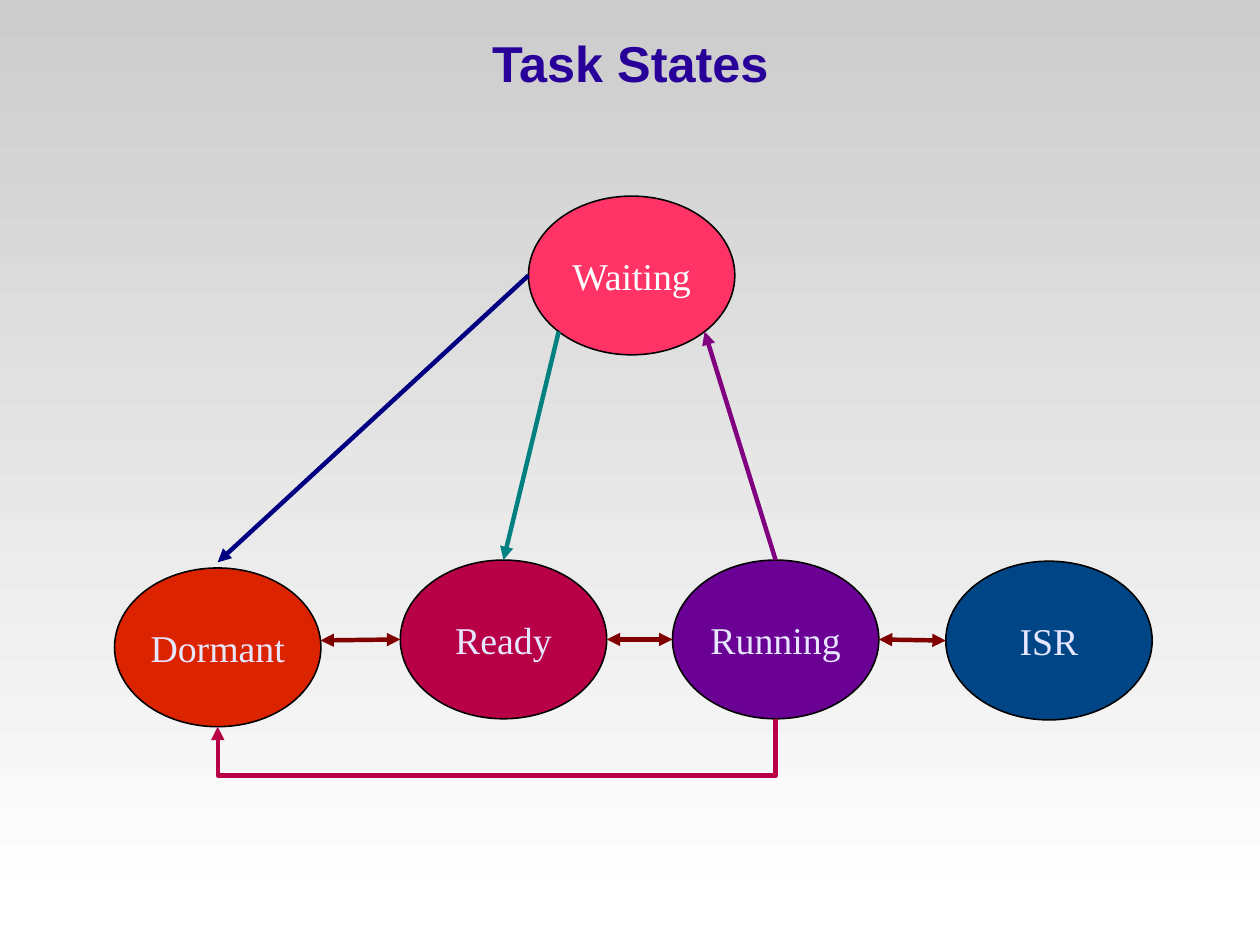
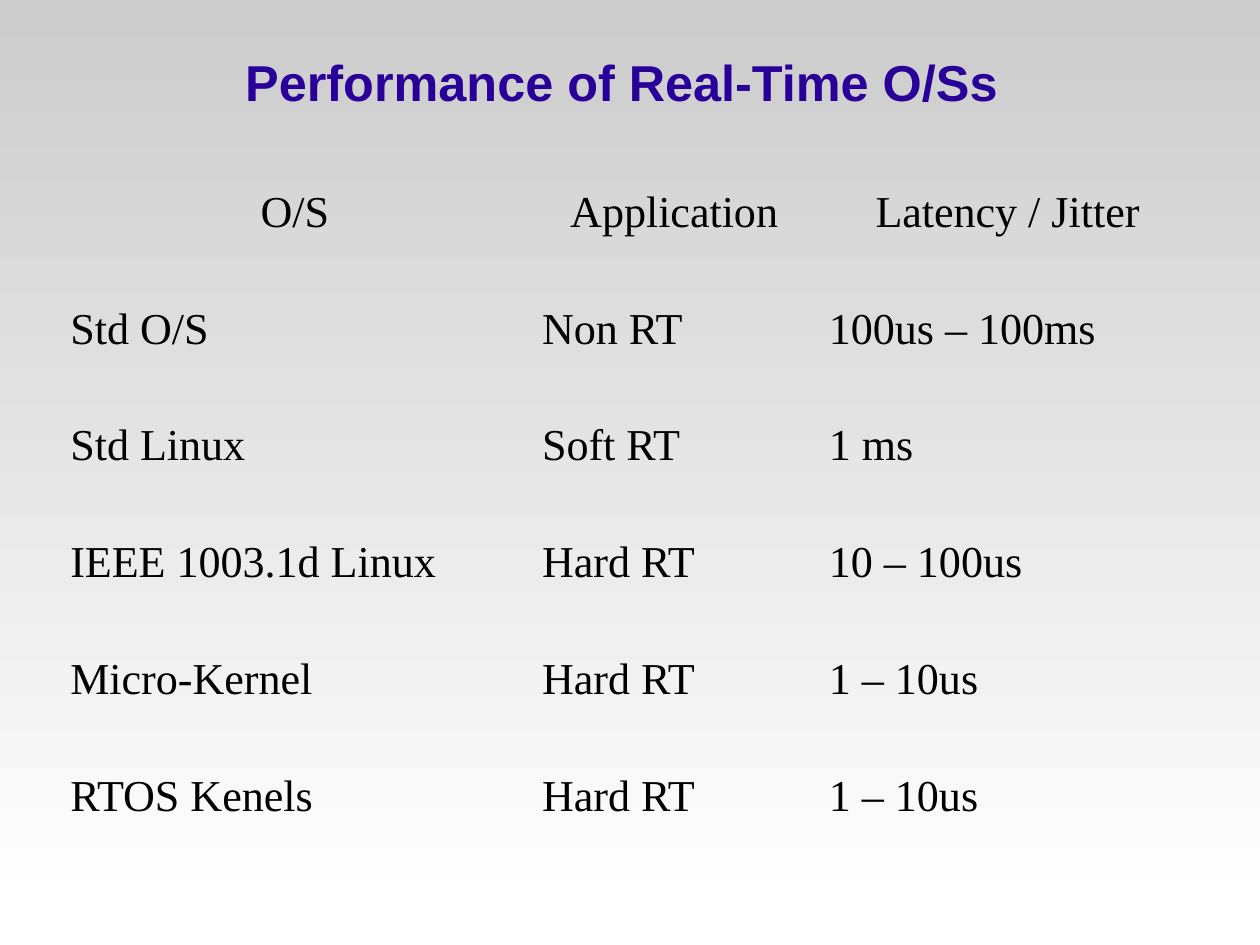
from math import cos, radians, sin

from pptx import Presentation
from pptx.dml.color import RGBColor
from pptx.enum.shapes import MSO_CONNECTOR as LINK, MSO_SHAPE as SHAPE
from pptx.enum.text import MSO_ANCHOR as ANCHOR, MSO_AUTO_SIZE as AUTO, PP_ALIGN as ALIGN
from pptx.oxml.ns import qn
from pptx.util import Emu, Inches, Pt

STATE_W, STATE_H = 1.82, 1.4
NO_GRID = "{2D5ABB26-0587-4C30-8999-92F81FD0307C}"


def color(code):
    """Turn a hex string into a colour."""
    return RGBColor.from_string(code)


def write(frame, text, size=24, font="Times New Roman", ink="000000",
          bold=False, align=ALIGN.CENTER, spacing=None):
    """Put formatted text into a text frame."""
    frame.text = text
    line = frame.paragraphs[0]
    line.alignment = align
    if spacing:
        line.line_spacing = spacing
    style = line.runs[0].font
    style.size, style.name, style.bold = Pt(size), font, bold
    style.color.rgb = color(ink)


def rim(state, angle, gap=0):
    """Find the point of a state's outline at a clockwise angle from the right."""
    left, top = state
    return (left + STATE_W / 2 * (1 + cos(radians(angle))),
            top + STATE_H / 2 * (1 + sin(radians(angle))) - gap)


class Deck:
    """Holds the shared style and the current slide."""

    title_style = dict(size=32, font="Arial", ink="280099", bold=True, spacing=0.93)

    def __init__(self, show):
        """Set the shared gradient background."""
        self.show = show
        backdrop = show.slide_master.background.fill
        backdrop.gradient()
        backdrop.gradient_angle = 270
        for stop, place, code in zip(backdrop.gradient_stops, (0, 0.97), ("CCCCCC", "FFFFFF")):
            stop.position = place
            stop.color.rgb = color(code)

    def start(self, heading, box, insets=(0.1, 0.05, 0.1, 0.05)):
        """Add a slide with its title."""
        self.slide = self.show.slides.add_slide(self.show.slide_layouts[5])
        title = self.slide.shapes.title
        title.left, title.top, title.width, title.height = map(Inches, box)
        frame = title.text_frame
        (frame.margin_left, frame.margin_top,
         frame.margin_right, frame.margin_bottom) = map(Inches, insets)
        frame.vertical_anchor, frame.auto_size = ANCHOR.MIDDLE, AUTO.NONE
        write(frame, heading, **self.title_style)

    def state(self, label, place, fill, ink="E6E6FF"):
        """Draw a labelled ellipse."""
        oval = self.slide.shapes.add_shape(
            SHAPE.OVAL, *map(Inches, (*place, STATE_W, STATE_H)))
        oval.shadow.inherit = False
        oval.fill.solid()
        oval.fill.fore_color.rgb = color(fill)
        oval.line.color.rgb = color("000000")
        oval.line.width = Pt(1)
        oval.text_frame.word_wrap = False
        oval.text_frame.vertical_anchor = ANCHOR.MIDDLE
        write(oval.text_frame, label, ink=ink)

    def arrow(self, start, end, ink, ends=("tailEnd",), kind=LINK.STRAIGHT):
        """Draw a connector with arrowheads."""
        link = self.slide.shapes.add_connector(kind, *map(Inches, (*start, *end)))
        link.line.color.rgb = color(ink)
        link.line.width = Pt(2.83)
        props = link._element.spPr
        outline = props.find(qn("a:ln"))
        for end_tag in ends:
            outline.append(outline.makeelement(qn(f"a:{end_tag}"), {"type": "triangle"}))
        props.append(props.makeelement(qn("a:effectLst"), {}))
        return link

    def loop(self, start, end, depth, ink):
        """Draw an elbow arrow that leaves downwards, runs left and returns up."""
        mid_x, mid_y = (start[0] + end[0]) / 2, (start[1] + end[1]) / 2
        drop, span = end[1] - start[1], start[0] - end[0]
        link = self.arrow((mid_x - drop / 2, mid_y - span / 2),
                          (mid_x + drop / 2, mid_y + span / 2), ink, kind=LINK.ELBOW)
        props = link._element.spPr
        props.find(qn("a:xfrm")).set("rot", "5400000")
        guides = props.find(qn("a:prstGeom")).get_or_add_avLst()
        guides.append(guides.makeelement(
            qn("a:gd"), {"name": "adj1", "fmla": f"val {round(depth / drop * 100000)}"}))

    def table(self, place, widths, row_height, rows):
        """Add a plain table with a centred first row."""
        frame = self.slide.shapes.add_table(
            len(rows), len(widths),
            *map(Inches, (*place, sum(widths), row_height * len(rows))))
        grid = frame.table
        grid.first_row = grid.horz_banding = False
        next(frame._element.iter(qn("a:tableStyleId"))).text = NO_GRID
        for column, width in zip(grid.columns, widths):
            column.width = Inches(width)
        for number, values in enumerate(rows):
            grid.rows[number].height = Inches(row_height)
            for cell, value in zip(grid.rows[number].cells, values):
                cell.fill.background()
                write(cell.text_frame, value, size=28, spacing=0.8,
                      align=ALIGN.LEFT if number else ALIGN.CENTER)


def task_states(deck):
    """Build the state diagram."""
    deck.start("Task States", (0.56, 0.3, 10, 0.53), (0, 0.03, 0, 0))
    waiting, dormant, ready = (4.66, 1.73), (1.01, 5.01), (3.53, 4.94)
    running, isr = (5.93, 4.94), (8.34, 4.95)
    deck.state("Waiting", waiting, "FF3366", ink="FFFFFF")
    deck.state("Dormant", dormant, "DC2300")
    deck.state("Running", running, "6B0094")
    deck.state("ISR", isr, "004586")
    deck.state("Ready", ready, "B80047")
    deck.arrow(rim(waiting, 180), rim(dormant, 270, gap=0.05), "000080")
    deck.arrow(rim(waiting, 135), rim(ready, 270), "008080")
    deck.arrow(rim(running, 270), rim(waiting, 45), "800080")
    for left, right, angle in ((dormant, ready, -5), (ready, running, 0), (running, isr, 0)):
        deck.arrow(rim(left, angle), rim(right, 180), "800000", ("headEnd", "tailEnd"))
    deck.loop(rim(running, 90), rim(dormant, 90), 0.5, "B80047")


def performance(deck):
    """Build the latency table."""
    deck.start("Performance of Real-Time O/Ss", (0.42, 0.44, 10.13, 0.62))
    deck.table((0.52, 1.68), (4.16, 2.53, 3.35), 1.03, (
        ("O/S", "Application", "Latency / Jitter"),
        ("Std O/S", "Non RT", "100us – 100ms"),
        ("Std Linux", "Soft RT", "1 ms"),
        ("IEEE 1003.1d Linux", "Hard RT", "10 – 100us"),
        ("Micro-Kernel", "Hard RT", "1 – 10us"),
        ("RTOS Kenels", "Hard RT", "1 – 10us"),
    ))


def main():
    """Build and save both slides."""
    show = Presentation()
    show.slide_width = Emu(10160000)
    show.slide_height = Emu(7621588)
    show.element.sldSz.attrib.pop("type", None)
    deck = Deck(show)
    task_states(deck)
    performance(deck)
    show.save("out.pptx")


if __name__ == "__main__":
    main()
